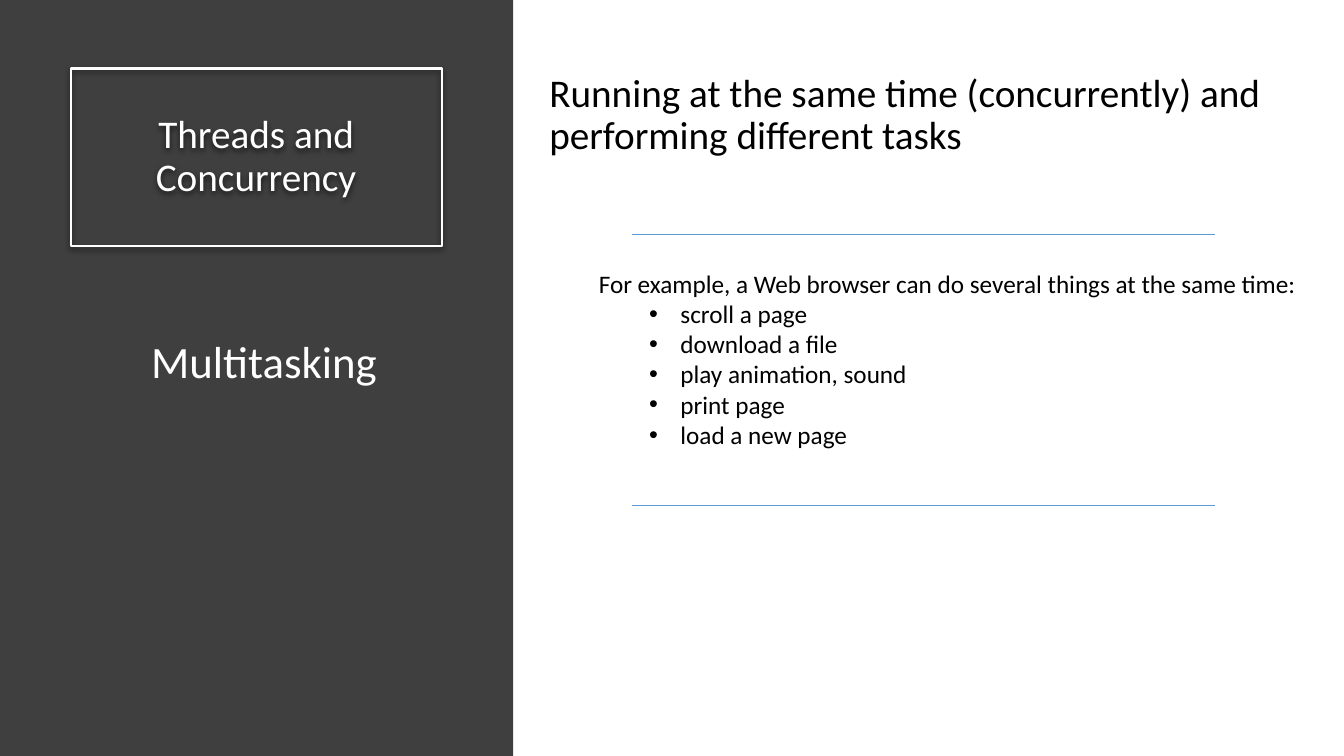
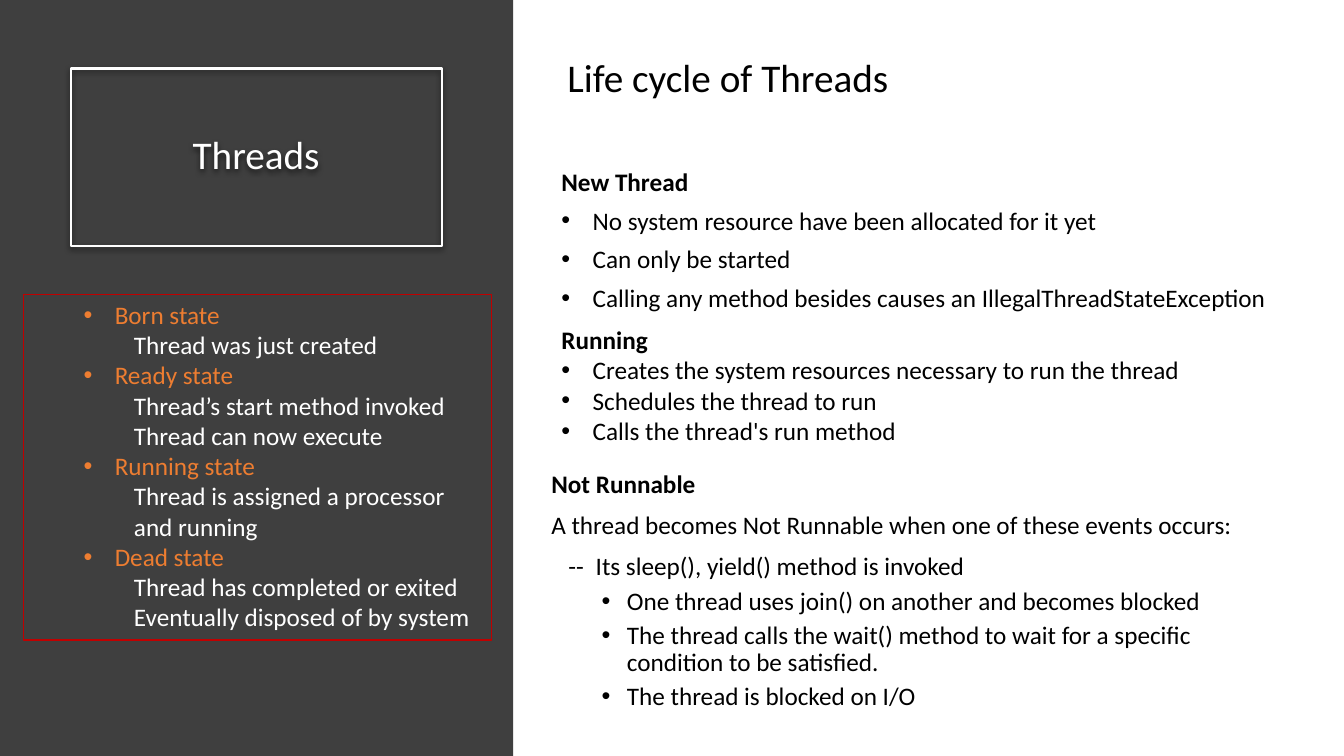
import dataclasses

import lxml.etree
import pptx
import pptx.dml.color
import pptx.enum.shapes
import pptx.enum.text
import pptx.oxml.ns
import pptx.util

PX = 9144


@dataclasses.dataclass(frozen=True)
class Theme:
    font: str = "Calibri"
    bullet_font: str = "Arial"
    panel: str = "3F3F3F"
    light: str = "FFFFFF"
    dark: str = "000000"
    rule: str = "5B9BD5"
    frame: str = "C00000"
    state: str = "ED7D31"
    text: int = 18
    heading: int = 28
    topic: int = 32
    tight: float = 0.9


@dataclasses.dataclass(frozen=True)
class Box:
    left: int
    top: int
    width: int
    height: int

    def inner(self, left, top, width, height):
        return Box(self.left + left, self.top + top, width, height)

    def emu(self):
        return [side * PX for side in dataclasses.astuple(self)]


THEME = Theme()
PAGE = Box(0, 0, 1333, 750)
SIDE = Box(0, 0, 509, 750)
MAIN = Box(509, 0, 824, 750)

STATES = {
    "Born state": ["Thread was just created"],
    "Ready state": ["Thread’s start method invoked", "Thread can now execute"],
    "Running state": ["Thread is assigned a processor and running"],
    "Dead state": ["Thread has completed or exited", "Eventually disposed of by system"],
}


def rgb(color):
    return pptx.dml.color.RGBColor.from_string(color)


def add_xml(parent, tag, **attributes):
    names = {name: str(value) for name, value in attributes.items()}
    return lxml.etree.SubElement(parent, pptx.oxml.ns.qn(tag), names)


def write(frame, text, size=THEME.text, color=THEME.dark, bold=False, align=None,
          spacing=None, before=0, level=0, left=0, hang=0, bullet=False):
    para = frame.add_paragraph() if frame.text else frame.paragraphs[0]
    para.level = level
    para.alignment = align or pptx.enum.text.PP_ALIGN.LEFT
    para.space_before = pptx.util.Pt(before)
    if spacing:
        para.line_spacing = spacing
    span = para.add_run()
    span.text = text
    span.font.name = THEME.font
    span.font.size = pptx.util.Pt(size)
    span.font.bold = bold
    span.font.color.rgb = rgb(color)
    properties = para._p.get_or_add_pPr()
    properties.set("marL", str(left * PX))
    properties.set("indent", str(-hang * PX))
    if bullet:
        add_xml(properties, "a:buFont", typeface=THEME.bullet_font)
        add_xml(properties, "a:buChar", char="•")


def add_text(page, box, grow=True, wrap=True):
    frame = page.shapes.add_textbox(*box.emu()).text_frame
    frame.word_wrap = wrap
    if grow:
        frame.auto_size = pptx.enum.text.MSO_AUTO_SIZE.SHAPE_TO_FIT_TEXT
    return frame


def add_rect(page, box, fill=None, line=None, weight=0.75):
    shape = page.shapes.add_shape(pptx.enum.shapes.MSO_SHAPE.RECTANGLE, *box.emu())
    shape.shadow.inherit = False
    if fill:
        shape.fill.solid()
        shape.fill.fore_color.rgb = rgb(fill)
    else:
        shape.fill.background()
    if line:
        shape.line.color.rgb = rgb(line)
        shape.line.width = pptx.util.Pt(weight)
    else:
        shape.line.fill.background()
    shape.text_frame.word_wrap = True
    return shape


def add_rule(page, box):
    left, top, width, _ = box.emu()
    rule = page.shapes.add_connector(
        pptx.enum.shapes.MSO_CONNECTOR.STRAIGHT, left, top, left + width, top)
    rule.line.color.rgb = rgb(THEME.rule)
    rule.line.width = pptx.util.Pt(0.5)
    add_xml(rule.element.spPr, "a:effectLst")


def add_title_panel(page, box, title):
    add_rect(page, box, fill=THEME.panel)
    shape = add_rect(page, box.inner(70, 68, 368, 176), line=THEME.light, weight=1.5)
    effects = shape.element.spPr.find(pptx.oxml.ns.qn("a:effectLst"))
    shadow = add_xml(effects, "a:outerShdw", blurRad=57150, dist=19050,
                     dir=5400000, algn="ctr", rotWithShape=0)
    color = add_xml(shadow, "a:srgbClr", val=THEME.dark)
    add_xml(color, "a:alpha", val=63000)
    frame = shape.text_frame
    frame.vertical_anchor = pptx.enum.text.MSO_ANCHOR.MIDDLE
    write(frame, title, size=THEME.heading, color=THEME.light, spacing=THEME.tight,
          align=pptx.enum.text.PP_ALIGN.CENTER)


def add_topic(page, box):
    write(add_text(page, box, wrap=False), "Multitasking",
          size=THEME.topic, color=THEME.light)


def add_states(page, box):
    frame = add_rect(page, box, line=THEME.frame).text_frame
    frame.vertical_anchor = pptx.enum.text.MSO_ANCHOR.TOP
    frame.auto_size = pptx.enum.text.MSO_AUTO_SIZE.SHAPE_TO_FIT_TEXT
    for state, details in STATES.items():
        write(frame, state, color=THEME.state, level=1, left=81, hang=31, bullet=True)
        for detail in details:
            write(frame, detail, color=THEME.light, level=2, left=100)


def add_section(page, box, heading, items, before=0):
    frame = add_text(page, box)
    write(frame, heading, bold=True, before=before)
    for item in items:
        write(frame, item, before=before, left=31, hang=31, bullet=True)


def add_multitasking(page, box):
    write(add_text(page, box.inner(26, 68, 768, 507), grow=False),
          "Running at the same time (concurrently) and performing different tasks",
          size=THEME.heading, spacing=THEME.tight, before=10)
    for top in (233, 501):
        add_rule(page, box.inner(118, top, 578, 0))
    frame = add_text(page, box.inner(75, 261, 719, 192))
    write(frame, "For example, a Web browser can do several things at the same time:")
    for task in ("scroll a page", "download a file", "play animation, sound",
                 "print page", "load a new page"):
        write(frame, task, level=1, left=81, hang=31, bullet=True)


def add_not_runnable(page, box):
    frame = add_text(page, box, grow=False)
    lead = dict(spacing=THEME.tight, before=10)
    write(frame, "Not Runnable", bold=True, **lead)
    write(frame, "A thread becomes Not Runnable when one of these events occurs:", **lead)
    write(frame, "--\tIts sleep(), yield() method is invoked", left=44, hang=27, **lead)
    for event in (
        "One thread uses join() on another and becomes blocked",
        "The thread calls the wait() method to wait for a specific condition to be satisfied.",
        "The thread is blocked on I/O",
    ):
        write(frame, event, spacing=THEME.tight, before=5, level=1,
              left=75, hang=25, bullet=True)


def add_life_cycle(page, box):
    add_section(page, box.inner(38, 160, 720, 157), "New Thread", (
        "No system resource have been allocated for it yet",
        "Can only be started",
        "Calling any method besides causes an IllegalThreadStateException",
    ), before=6)
    add_section(page, box.inner(38, 317, 667, 131), "Running", (
        "Creates the system resources necessary to run the thread",
        "Schedules the thread to run",
        "Calls the thread's run method",
    ))
    add_not_runnable(page, box.inner(28, 463, 720, 256))
    write(add_text(page, box.inner(44, 48, 593, 57)), "Life cycle of Threads",
          size=THEME.heading)


def add_page(deck, title):
    page = deck.slides.add_slide(deck.slide_layouts[6])
    add_title_panel(page, SIDE, title)
    return page


def main():
    deck = pptx.Presentation()
    deck.slide_width = PAGE.width * PX
    deck.slide_height = PAGE.height * PX

    page = add_page(deck, "Threads and Concurrency")
    add_multitasking(page, MAIN)
    add_topic(page, SIDE.inner(140, 326, 257, 64))

    page = add_page(deck, "Threads")
    add_states(page, SIDE.inner(23, 292, 465, 343))
    add_life_cycle(page, MAIN)

    deck.save("out.pptx")


if __name__ == "__main__":
    main()
